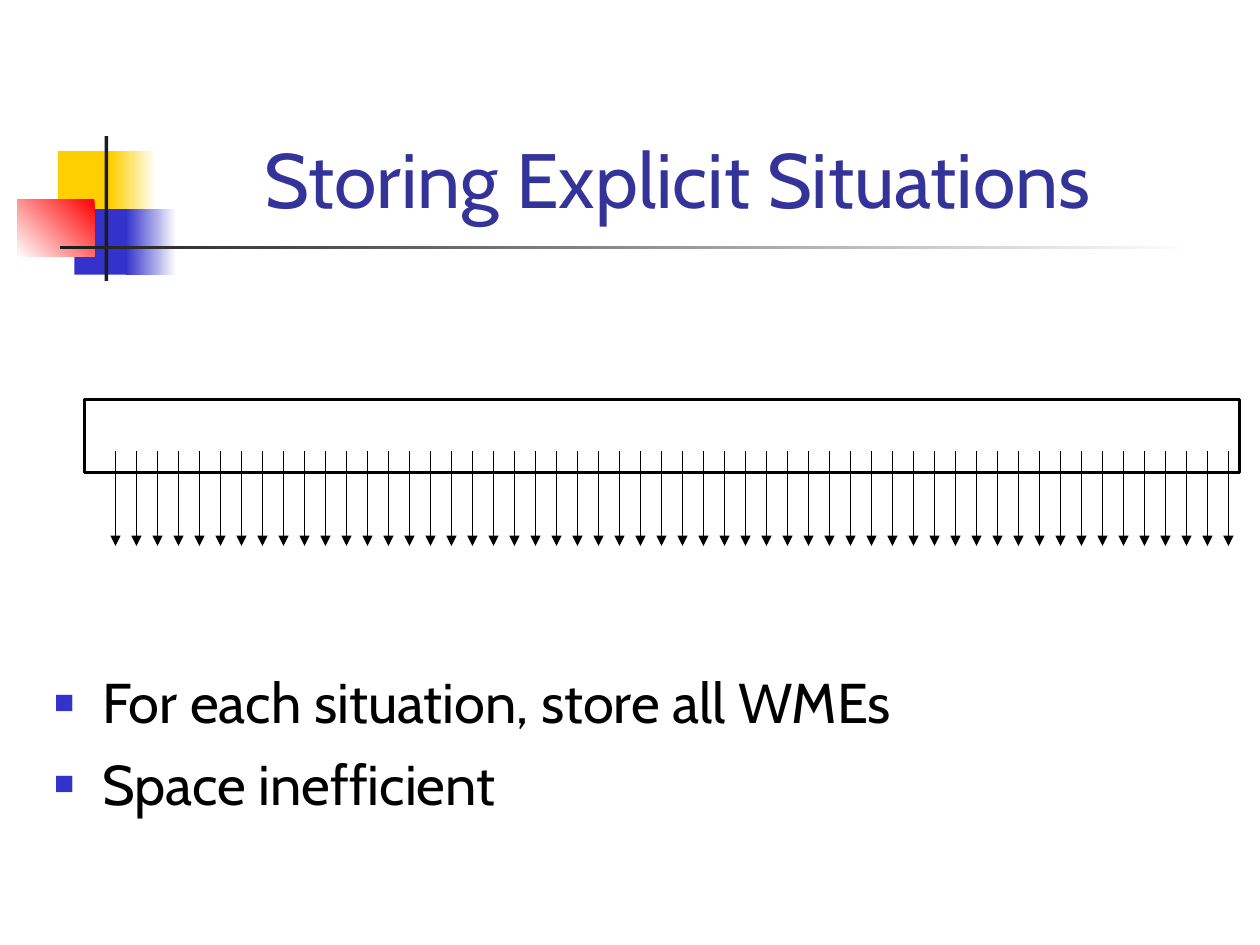
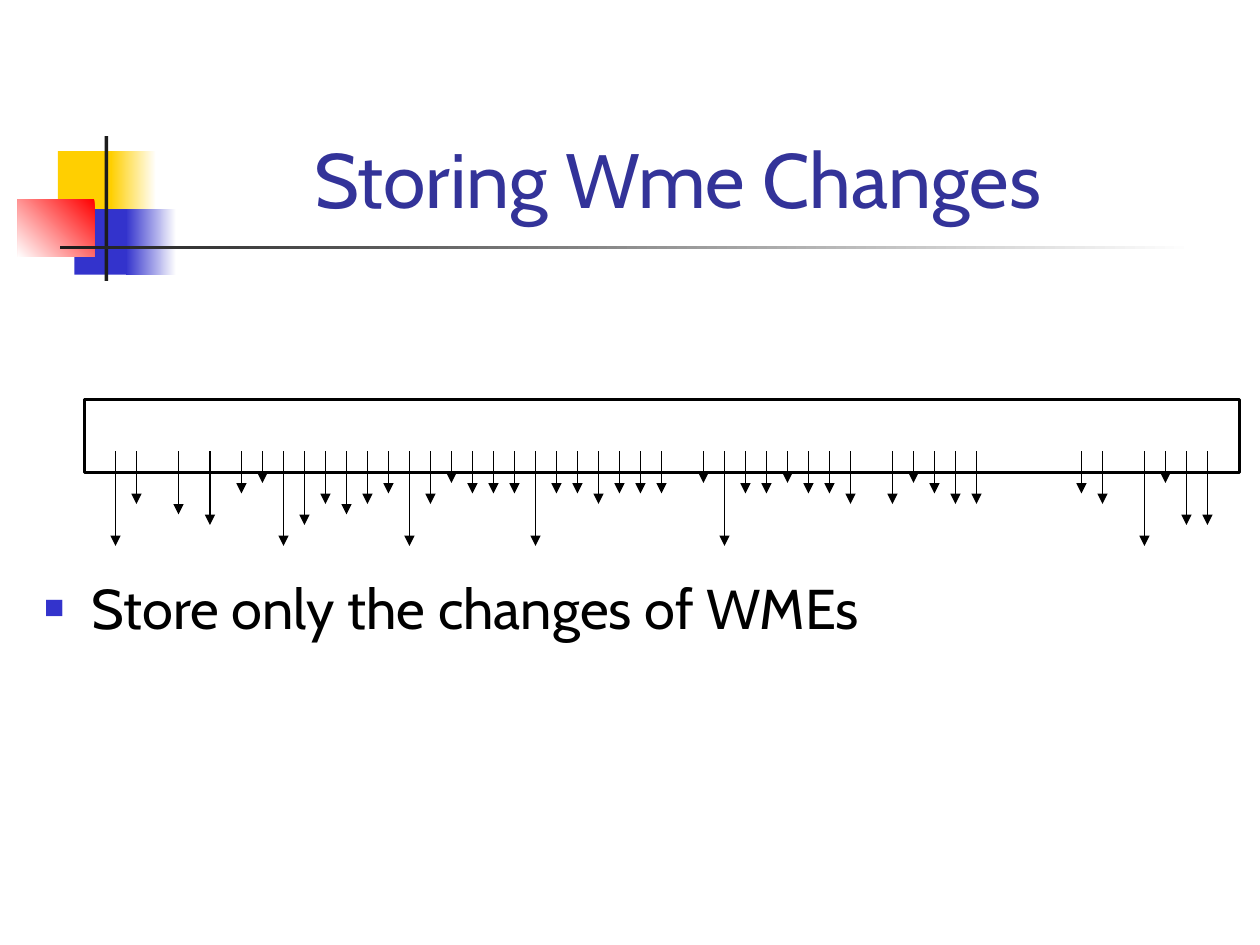
import pptx
import pptx.dml.color
import pptx.enum.shapes
import pptx.enum.text
import pptx.oxml
import pptx.oxml.ns
import pptx.util

Inches, Pt = pptx.util.Inches, pptx.util.Pt
PP_ALIGN = pptx.enum.text.PP_ALIGN
ANCHOR = pptx.enum.text.MSO_ANCHOR

COLORS = {
    "white": "FFFFFF", "black": "000000", "dark": "1C1C1C", "red": "FF0000",
    "yellow": "FFCF01", "blue": "3333CC", "title": "333399",
}
FONT = "Cabin"
TITLE_FONT = {"name": FONT, "size": Pt(44), "bold": False}
BODY_FONT = {"name": FONT, "size": Pt(32), "bold": False}
FRAME = {
    "auto_size": pptx.enum.text.MSO_AUTO_SIZE.NONE, "word_wrap": True,
    "margin_left": Inches(0.1), "margin_right": Inches(0.1),
    "margin_top": Inches(0.05), "margin_bottom": Inches(0.05),
}

# left, top, width, height, fill colours (two make a gradient), gradient angle
EMBLEM = [
    (0.46, 1.2, 0.48, 0.52, ["yellow"], None),
    (0.88, 1.2, 0.36, 0.52, ["white", "yellow"], 180),
    (0.59, 1.66, 0.46, 0.52, ["blue"], None),
    (1, 1.66, 0.4, 0.52, ["white", "blue"], 180),
    (0.14, 1.58, 0.61, 0.46, ["red", "white"], 225),
    (0.83, 1.08, 0.03, 1.15, ["dark"], None),
    (0.48, 1.95, 9, 0.03, ["white", "dark"], 180),
]

# Arrows sit on slots 1/6 inch apart; lengths are in twelfths of an inch.
FIRST_X, ARROW_TOP, SLOT, UNIT = 11 / 12, 43 / 12, 1 / 6, 1 / 12
ALL_SITUATIONS = {0: [9] * 54}
ONLY_CHANGES = {  # first slot of each unbroken run: lengths in that run
    0: [9, 5],
    3: [6],
    4.5: [7],
    6: [4, 3, 9, 7, 5, 6, 5, 4, 9, 5, 3, 4, 4, 4, 9, 4, 4, 5, 4, 4, 4],
    28: [3, 9, 4, 4, 3, 4, 4, 5],
    37: [5, 3, 4, 5, 5],
    46: [4, 5],
    49: [9, 3, 7, 7],
}


def rgb(name):
    return pptx.dml.color.RGBColor.from_string(COLORS[name])


def apply(target, values):
    for name, value in values.items():
        setattr(target, name, value)


def add_xml(parent, tag, **attrs):
    child = pptx.oxml.parse_xml(f"<a:{tag} {pptx.oxml.ns.nsdecls('a')}/>")
    for name, value in attrs.items():
        child.set(name, value)
    parent.append(child)
    return child


class Deck:
    def __init__(self):
        self.prs = pptx.Presentation()
        self.prs.slide_width, self.prs.slide_height = Inches(10), Inches(7.5)
        self.s = None

    def add_slide(self):
        self.s = self.prs.slides.add_slide(self.prs.slide_layouts[1])

    def emblem(self):
        """Draw the shared emblem and move it to the slide master."""
        master = self.prs.slide_master.shapes.element
        for *box, fills, angle in EMBLEM:
            master.append(self.rect(box, fills, angle).element)

    def rect(self, box, fills, angle=None, line=None):
        sp = self.s.shapes.add_shape(
            pptx.enum.shapes.MSO_SHAPE.RECTANGLE, *map(Inches, box))
        sp.shadow.inherit = False
        if angle is None:
            sp.fill.solid()
            sp.fill.fore_color.rgb = rgb(fills[0])
        else:
            sp.fill.gradient()
            sp.fill.gradient_angle = angle
            for stop, name in zip(sp.fill.gradient_stops, fills):
                stop.color.rgb = rgb(name)
        if line:
            sp.line.color.rgb = rgb(line)
            sp.line.width = Pt(1.5)
        else:
            sp.line.fill.background()
        return sp

    def place(self, sp, box, anchor):
        apply(sp, dict(zip(("left", "top", "width", "height"), map(Inches, box))))
        apply(sp.text_frame, {**FRAME, "vertical_anchor": anchor})
        return sp.text_frame

    def run(self, p, text, font, color):
        r = p.add_run()
        r.text = text
        apply(r.font, font)
        r.font.color.rgb = rgb(color)

    def title(self, text):
        tf = self.place(self.s.shapes.title, (1.26, 0.23, 8.24, 1.6), ANCHOR.BOTTOM)
        p = tf.paragraphs[0]
        p.alignment = PP_ALIGN.CENTER
        self.run(p, text, TITLE_FONT, "title")

    def bullets(self, box, items):
        tf = self.place(self.s.placeholders[1], box, ANCHOR.TOP)
        for i, text in enumerate(items):
            p = tf.add_paragraph() if i else tf.paragraphs[0]
            pPr = p._p.get_or_add_pPr()
            pPr.set("marL", str(Inches(0.38)))
            pPr.set("indent", str(-Inches(0.38)))
            add_xml(add_xml(pPr, "buClr"), "srgbClr", val=COLORS["blue"])
            add_xml(pPr, "buSzPct", val="60000")
            add_xml(pPr, "buChar", char="■")
            p.alignment = PP_ALIGN.LEFT
            p.space_before = Pt(8 if i else 0)
            self.run(p, text, BODY_FONT, "black")

    def arrow(self, x, length):
        c = self.s.shapes.add_connector(
            pptx.enum.shapes.MSO_CONNECTOR.STRAIGHT,
            *map(Inches, (x, ARROW_TOP, x, ARROW_TOP + length)))
        c.line.color.rgb = rgb("black")
        c.line.width = Pt(0.75)
        spPr = c.element.spPr
        add_xml(spPr.find(pptx.oxml.ns.qn("a:ln")), "tailEnd", type="triangle")
        add_xml(spPr, "effectLst")

    def timeline(self, runs):
        """Draw the memory bar with its runs of arrows."""
        self.rect((0.67, 3.17, 9.17, 0.58), ["white"], line="black")
        for first, lengths in runs.items():
            for slot, length in enumerate(lengths):
                self.arrow(FIRST_X + (first + slot) * SLOT, length * UNIT)


def main():
    deck = Deck()
    deck.add_slide()
    deck.emblem()
    deck.title("Storing Explicit Situations")
    deck.bullets((0.33, 5.25, 8.5, 1.5),
                 ["For each situation, store all WMEs", "Space inefficient"])
    deck.timeline(ALL_SITUATIONS)

    deck.add_slide()
    deck.title("Storing Wme Changes")
    deck.bullets((0.25, 4.5, 9.42, 2.75), ["Store only the changes of WMEs"])
    deck.timeline(ONLY_CHANGES)
    deck.prs.save("out.pptx")


if __name__ == "__main__":
    main()
